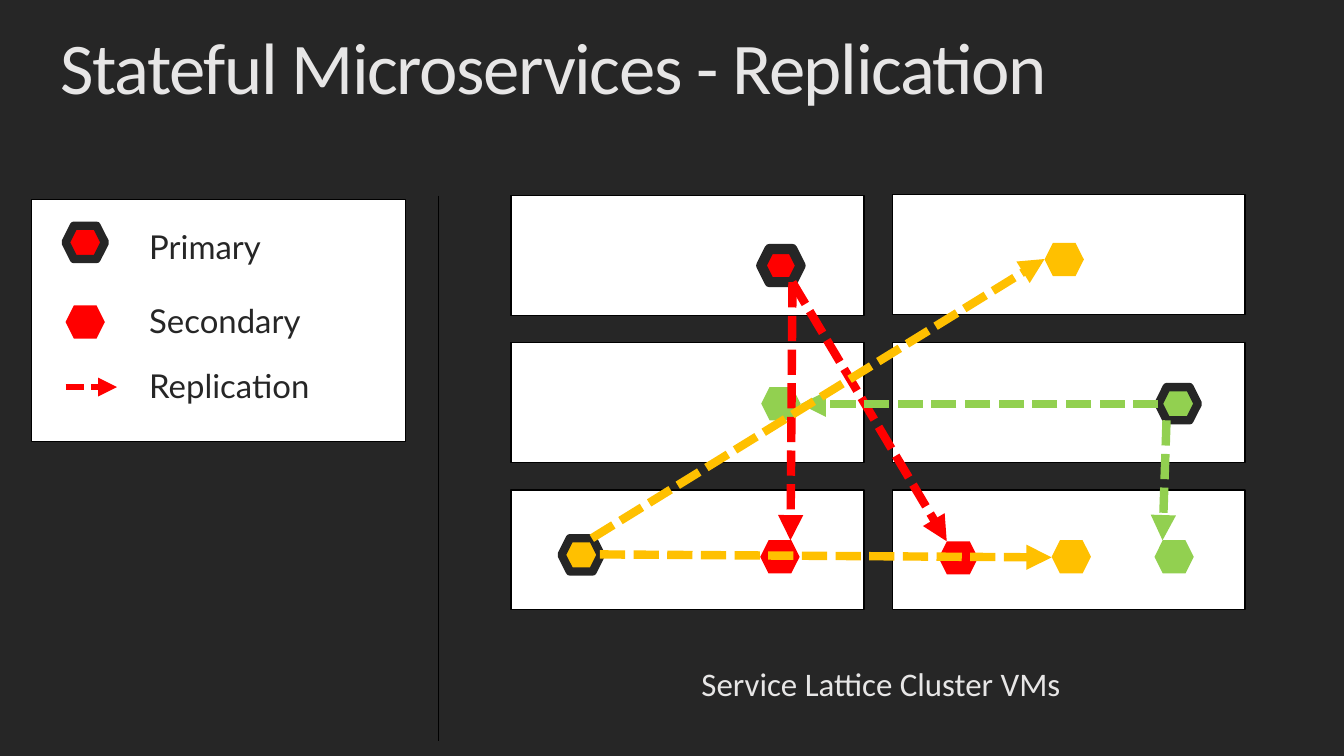
"""Build the slide on replication between stateful microservices."""
from dataclasses import dataclass
from typing import Optional

from lxml import etree
from pptx import Presentation, util as u
from pptx.dml.color import RGBColor
from pptx.enum import dml, shapes, text
from pptx.oxml import ns

WHITE, BLACK, DARK, PALE = "FFFFFF", "000000", "262626", "E7E6E6"
RED, GREEN, AMBER = "FF0000", "92D050", "FFC000"
NODE_WIDTH, NODE_HEIGHT = 0.39, 0.33


@dataclass
class Panel:
    left: float
    top: float
    width: float = 3.5
    height: float = 1.19


@dataclass
class Replica:
    left: float
    top: float
    color: str
    ring: float = 0


@dataclass
class Link:
    start: tuple[float, float]
    end: tuple[float, float]
    color: str
    weight: float = 6
    dashed: bool = True


@dataclass
class Label:
    words: str
    left: float
    top: float
    width: float = 2.42
    height: float = 0.67
    size: float = 23.5
    font: str = "Lato"
    color: str = DARK
    align: Optional[text.PP_ALIGN] = None
    spacing: Optional[int] = None


VMS = [Panel(5.07, 3.4), Panel(5.07, 1.94), Panel(8.85, 1.93),
       Panel(8.85, 3.4), Panel(5.07, 4.86), Panel(8.85, 4.86)]
REPLICAS = [
    Replica(9.31, 5.37, RED),
    Replica(7.55, 2.47, RED, 7.25),
    Replica(11.45, 5.36, GREEN),
    Replica(11.49, 3.84, GREEN, 6),
    Replica(5.57, 5.34, AMBER, 6),
    Replica(10.36, 2.41, AMBER),
    Replica(7.54, 5.36, RED),
    Replica(7.55, 3.84, GREEN),
    Replica(10.43, 5.36, AMBER),
]
LEGEND_PANEL = Panel(0.31, 1.98, 3.71, 2.4)
LEGEND_REPLICAS = [Replica(0.65, 2.24, RED, 6), Replica(0.65, 3.03, RED)]
LINKS = [
    Link((4.35, 1.94), (4.35, 7.35), BLACK, 1, False),
    Link((0.65, 3.84), (1.16, 3.84), RED, 4.5),
    Link((7.86, 2.8), (9.39, 5.37), RED),
    Link((7.86, 2.8), (7.84, 5.36), RED),
    Link((11.57, 4.17), (11.53, 5.36), GREEN),
    Link((11.49, 4.01), (7.94, 4.01), GREEN),
    Link((5.87, 5.34), (10.36, 2.57), AMBER),
    Link((5.95, 5.5), (10.43, 5.53), AMBER),
]
TITLE = Label("Stateful Microservices - Replication", 0.5, 0.2, 12, 1, 52,
              "Calibri", PALE, spacing=-100)
LABELS = [
    Label("Service Lattice Cluster VMs", 4.69, 6.47, 8.1, font="Calibri",
          color=PALE, align=text.PP_ALIGN.CENTER),
    Label("Primary", 1.28, 2.13),
    Label("Secondary", 1.28, 2.87),
    Label("Replication", 1.28, 3.51),
]
TITLE_FRAME = {"word_wrap": True, "vertical_anchor": text.MSO_ANCHOR.MIDDLE}
LABEL_FRAME = {
    "word_wrap": True,
    "auto_size": text.MSO_AUTO_SIZE.SHAPE_TO_FIT_TEXT,
    "margin_left": u.Inches(0.2), "margin_right": u.Inches(0.2),
    "margin_top": u.Inches(0.16), "margin_bottom": u.Inches(0.16),
}


def rgb(value: str) -> RGBColor:
    return RGBColor.from_string(value)


def apply(target, values: dict) -> None:
    for name, value in values.items():
        setattr(target, name, value)


def paint(fill, color: str) -> None:
    fill.solid()
    fill.fore_color.rgb = rgb(color)


def draw_shape(slide, kind, box: tuple, color: str, edge: str,
               weight: float) -> None:
    shape = slide.shapes.add_shape(kind, *map(u.Inches, box))
    shape.shadow.inherit = False
    paint(shape.fill, color)
    if weight:
        paint(shape.line.fill, edge)
        shape.line.width = u.Pt(weight)
    else:
        shape.line.fill.background()


def draw_panel(slide, panel: Panel) -> None:
    box = (panel.left, panel.top, panel.width, panel.height)
    draw_shape(slide, shapes.MSO_SHAPE.RECTANGLE, box, WHITE, BLACK, 1)


def draw_replica(slide, replica: Replica) -> None:
    box = (replica.left, replica.top, NODE_WIDTH, NODE_HEIGHT)
    draw_shape(slide, shapes.MSO_SHAPE.HEXAGON, box, replica.color, DARK,
               replica.ring)


def draw_link(slide, link: Link) -> None:
    connector = slide.shapes.add_connector(
        shapes.MSO_CONNECTOR.STRAIGHT, *map(u.Inches, link.start + link.end))
    paint(connector.line.fill, link.color)
    connector.line.width = u.Pt(link.weight)
    if link.dashed:
        connector.line.dash_style = dml.MSO_LINE.SQUARE_DOT
        outline = connector.line._get_or_add_ln()
        etree.SubElement(outline, ns.qn("a:tailEnd"), type="triangle")
    etree.SubElement(connector._element.spPr, ns.qn("a:effectLst"))


def draw_label(slide, label: Label, frame_format: dict,
               space_after: float) -> None:
    box = (label.left, label.top, label.width, label.height)
    frame = slide.shapes.add_textbox(*map(u.Inches, box)).text_frame
    apply(frame, frame_format)
    paragraph = frame.paragraphs[0]
    apply(paragraph, {"alignment": label.align, "line_spacing": 0.9,
                      "space_after": u.Pt(space_after)})
    run = paragraph.add_run()
    run.text = label.words
    apply(run.font, {"name": label.font, "size": u.Pt(label.size)})
    run.font.color.rgb = rgb(label.color)
    if label.spacing is not None:
        run.font._element.set("spc", str(label.spacing))


def main() -> None:
    deck = Presentation()
    apply(deck, {"slide_width": u.Inches(13.33), "slide_height": u.Inches(7.5)})
    slide = deck.slides.add_slide(deck.slide_layouts[6])
    paint(slide.background.fill, DARK)
    for vm in VMS:
        draw_panel(slide, vm)
    for replica in REPLICAS:
        draw_replica(slide, replica)
    draw_panel(slide, LEGEND_PANEL)
    for replica in LEGEND_REPLICAS:
        draw_replica(slide, replica)
    draw_label(slide, TITLE, TITLE_FRAME, 0)
    for label in LABELS:
        draw_label(slide, label, LABEL_FRAME, 5.9)
    for link in LINKS:
        draw_link(slide, link)
    deck.save("out.pptx")


if __name__ == "__main__":
    main()
